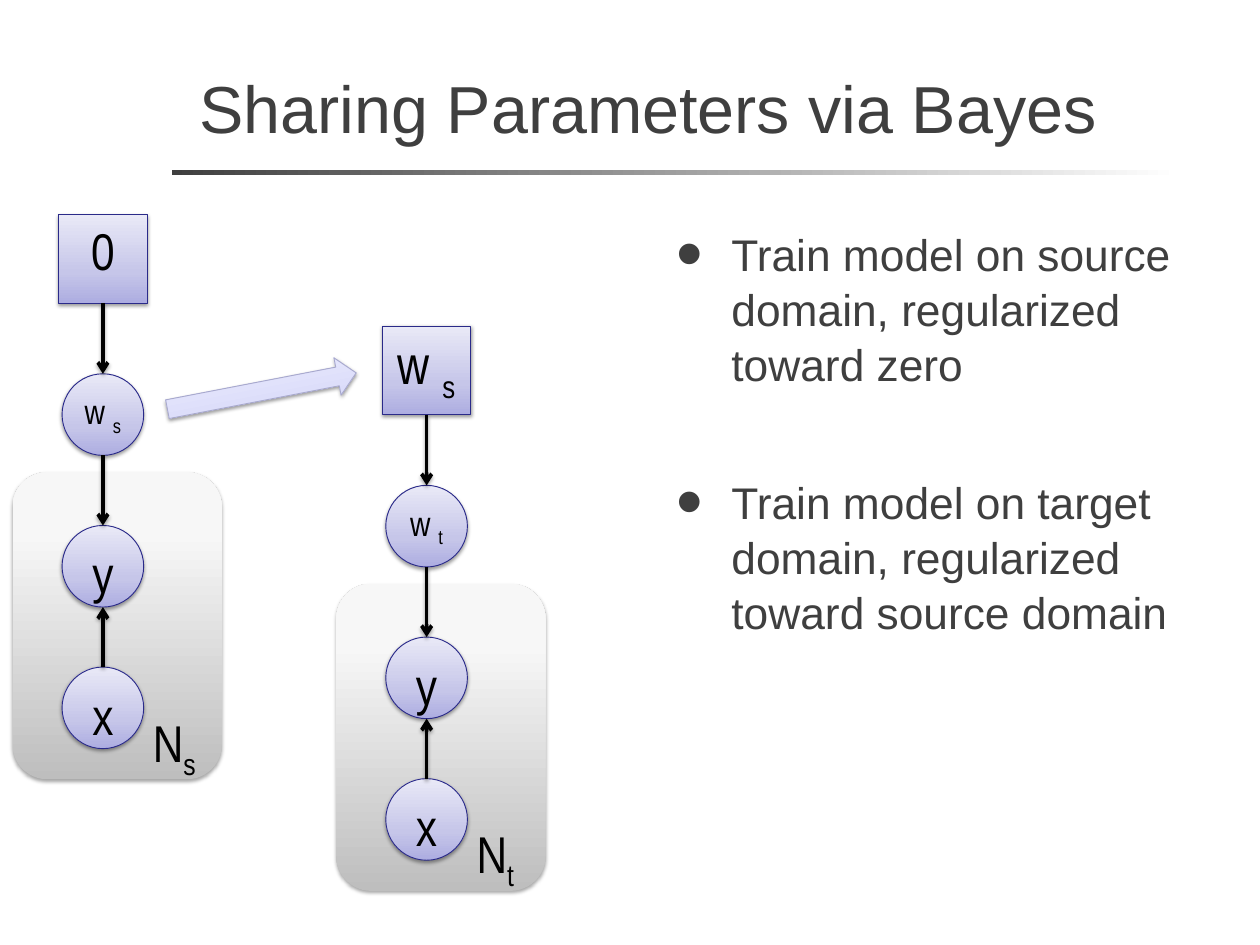
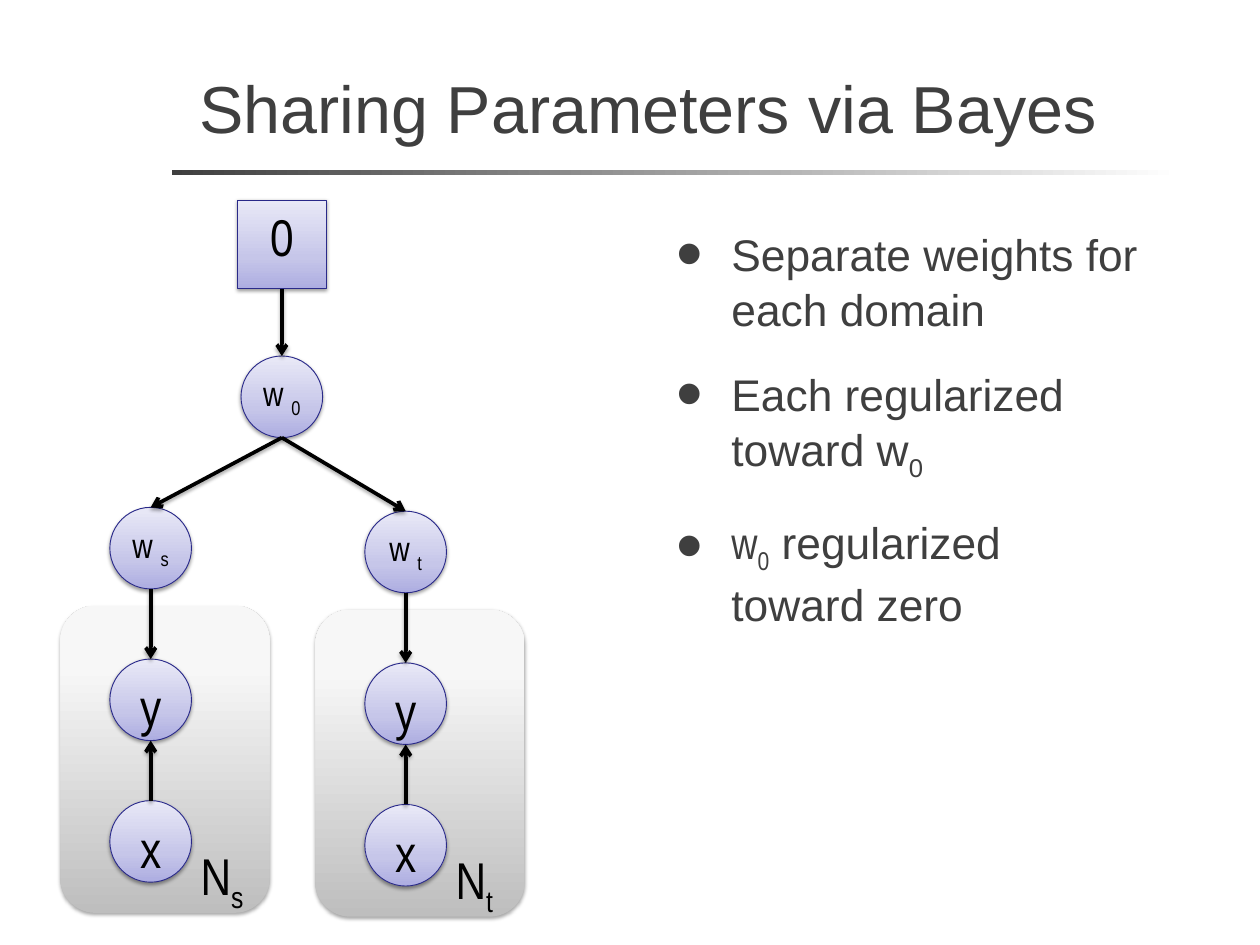
"""Builds two slides on sharing parameters between domains via Bayes."""
from dataclasses import dataclass
from typing import NamedTuple

from lxml import etree
from pptx import Presentation
from pptx import util as u
from pptx.dml.color import RGBColor
from pptx.enum import shapes, text
from pptx.oxml.ns import qn

Cm, Pt = u.Cm, u.Pt
Kind = shapes.MSO_SHAPE
Stops = tuple[tuple[int, str], ...]


class Shadow(NamedTuple):
    alpha: int
    blur: float
    dist: float


@dataclass(frozen=True)
class Theme:
    ink: str = "3F3F3F"
    black: str = "000000"
    node_line: str = "2A2A89"
    arrow_line: str = "A8A9CD"
    node_fill: Stops = ((0, "ADADE1"), (35, "C6C6E9"), (100, "E9E9F7"))
    arrow_fill: Stops = ((0, "CDCEF8"), (35, "DBDCFA"), (100, "F0F0FE"))
    plate_fill: Stops = ((0, "BEBEBE"), (80, "F7F7F7"), (100, "F8F8F8"))
    rule_fill: Stops = ((0, "3F3F3F"), (100, "FFFFFF"))
    node_shadow: Shadow = Shadow(38, 3.1, 1.6)
    soft_shadow: Shadow = Shadow(35, 3.1, 1.8)
    font: str = "Arial"
    narrow: str = "Arial Narrow"
    title: int = 54
    body: int = 36
    symbol: int = 42
    weight: int = 28
    given: int = 44


T = Theme()


class Piece(NamedTuple):
    text: str
    sub: bool = False
    font: str | None = None


class Bullet(NamedTuple):
    pieces: list[Piece]
    before: int = 24


@dataclass(frozen=True)
class Node:
    kind: Kind
    label: str
    sub: str
    cx: float
    top: float
    size: int

    @property
    def side(self) -> float:
        return 2.54 if self.kind == Kind.RECTANGLE else 2.34


@dataclass(frozen=True)
class Domain:
    sub: str
    cx: float
    top: float


def add_xml(parent, tag: str, **attrs):
    return etree.SubElement(parent, qn(tag), {k: str(v) for k, v in attrs.items()})


def add_shadow(sp, shadow: Shadow) -> None:
    spPr = sp._element.spPr
    for old in spPr.findall(qn("a:effectLst")):
        spPr.remove(old)
    outer = add_xml(add_xml(spPr, "a:effectLst"), "a:outerShdw",
                    blurRad=int(Pt(shadow.blur)), dist=int(Pt(shadow.dist)),
                    dir=5400000, rotWithShape=0)
    add_xml(add_xml(outer, "a:srgbClr", val=T.black), "a:alpha", val=shadow.alpha * 1000)


def add_block(s, kind: Kind, box: tuple, stops: Stops, line: str | None = None,
              shadow: Shadow | None = None, angle: int = 90):
    sp = s.shapes.add_shape(kind, *map(Cm, box))
    sp.shadow.inherit = False
    sp.fill.gradient()
    sp.fill.gradient_angle = angle
    gs_list = sp._element.spPr.find(qn("a:gradFill")).find(qn("a:gsLst"))
    for old in list(gs_list):
        gs_list.remove(old)
    for pos, color in stops:
        add_xml(add_xml(gs_list, "a:gs", pos=pos * 1000), "a:srgbClr", val=color)
    if line:
        sp.line.color.rgb = RGBColor.from_string(line)
        sp.line.width = Pt(0.75)
    else:
        sp.line.fill.background()
    if shadow:
        add_shadow(sp, shadow)
    return sp


def set_font(p, name: str, size: int, color: str) -> None:
    p.font.name = name
    p.font.size = Pt(size)
    p.font.color.rgb = RGBColor.from_string(color)


def add_pieces(p, pieces: list[Piece]) -> None:
    for piece in pieces:
        for i, part in enumerate(piece.text.split("\n")):
            if i:
                p.add_line_break()
            r = p.add_run()
            r.text = part
            if piece.font:
                r.font.name = piece.font
            if piece.sub:
                r.font._element.set("baseline", "-25000")


def add_symbol(sp, label: str, sub: str, size: int, align) -> None:
    tf = sp.text_frame
    tf.vertical_anchor = text.MSO_ANCHOR.TOP
    p = tf.paragraphs[0]
    p.alignment = align
    set_font(p, T.narrow, size, T.black)
    add_pieces(p, [Piece(label)] + ([Piece(sub, True)] if sub else []))


def add_node(s, node: Node):
    box = (node.cx - node.side / 2, node.top, node.side, node.side)
    sp = add_block(s, node.kind, box, T.node_fill, T.node_line, T.node_shadow)
    add_symbol(sp, node.label, node.sub, node.size, text.PP_ALIGN.CENTER)
    return sp


def link(s, a, b) -> None:
    down = a.top < b.top
    begin_y = a.top + a.height if down else a.top
    end_y = b.top if down else b.top + b.height
    cx = s.shapes.add_connector(shapes.MSO_CONNECTOR.STRAIGHT, a.left + a.width // 2,
                                begin_y, b.left + b.width // 2, end_y)
    if not down:
        cx.begin_connect(a, 0)
    elif a.auto_shape_type == Kind.RECTANGLE:
        cx.begin_connect(a, 2)
    if down:
        cx.end_connect(b, 0)
    cx.line.color.rgb = RGBColor.from_string(T.black)
    cx.line.width = Pt(3)
    add_xml(cx.line._get_or_add_ln(), "a:tailEnd", type="arrow")
    add_shadow(cx, T.soft_shadow)


def add_domain(s, d: Domain):
    plate = add_block(s, Kind.ROUNDED_RECTANGLE, (d.cx - 2.59, d.top + 2.82, 6, 8.81),
                      T.plate_fill, shadow=T.soft_shadow)
    tf = plate.text_frame
    tf.margin_left, tf.margin_top = Cm(3.73), Cm(6.55)
    tf.margin_right = tf.margin_bottom = 0
    add_symbol(plate, "N", d.sub, T.symbol, text.PP_ALIGN.LEFT)
    w, y, x = (add_node(s, Node(Kind.OVAL, label, sub, d.cx, d.top + dy, size))
               for label, sub, dy, size in (("w ", d.sub, 0, T.weight),
                                            ("y", "", 4.35, T.symbol),
                                            ("x", "", 8.41, T.symbol)))
    link(s, w, y)
    link(s, x, y)
    return w


def add_text_box(s, box: tuple):
    tf = s.shapes.add_textbox(*map(Cm, box)).text_frame
    tf.word_wrap = True
    return tf


def add_bullets(s, bullets: list[Bullet]) -> None:
    tf = add_text_box(s, (18.26, 6.32, 16.05, 17.88))
    for i, bullet in enumerate(bullets):
        p = tf.add_paragraph() if i else tf.paragraphs[0]
        pPr = p._p.get_or_add_pPr()
        pPr.set("marL", str(int(Cm(2.46))))
        pPr.set("indent", str(int(Cm(-1.57))))
        add_xml(add_xml(pPr, "a:buClr"), "a:srgbClr", val=T.ink)
        add_xml(pPr, "a:buSzPct", val=171000)
        add_xml(pPr, "a:buFont", typeface=T.font)
        add_xml(pPr, "a:buChar", char="•")
        p.line_spacing = 1.04
        if i:
            p.space_before = Pt(bullet.before)
        set_font(p, T.font, T.body, T.ink)
        add_pieces(p, bullet.pieces)


def add_base(prs, title: str):
    s = prs.slides.add_slide(prs.slide_layouts[6])
    add_block(s, Kind.RECTANGLE, (4.93, 4.88, 28.88, 0.13), T.rule_fill, angle=0)
    tf = add_text_box(s, (5.36, 1.27, 28.37, 3.61))
    tf.vertical_anchor = text.MSO_ANCHOR.MIDDLE
    tf.margin_left = tf.margin_right = Cm(0.36)
    tf.margin_top = tf.margin_bottom = Cm(0.18)
    p = tf.paragraphs[0]
    set_font(p, T.font, T.title, T.ink)
    add_pieces(p, [Piece(title)])
    return s


def add_transfer_slide(prs, title: str) -> None:
    s = add_base(prs, title)
    source, target = Domain("s", 2.95, 10.72), Domain("t", 12.23, 13.92)
    for d, label, sub, size in ((source, "0", "", T.symbol), (target, "w ", "s", T.given)):
        w = add_domain(s, d)
        prior = add_node(s, Node(Kind.RECTANGLE, label, sub, d.cx, d.top - 4.57, size))
        link(s, prior, w)
    arrow = add_block(s, Kind.RIGHT_ARROW, (4.75, 10.67, 5.51, 1.09), T.arrow_fill,
                      T.arrow_line, T.node_shadow)
    arrow.rotation = 349.1
    add_bullets(s, [
        Bullet([Piece("Train model on source domain, regularized toward zero")]),
        Bullet([Piece("Train model on target domain, regularized toward source domain")], 67),
    ])


def add_shared_slide(prs, title: str) -> None:
    s = add_base(prs, title)
    weights = [add_domain(s, d) for d in (Domain("s", 4.32, 14.55), Domain("t", 11.63, 14.66))]
    shared = add_node(s, Node(Kind.OVAL, "w ", "0", 8.08, 10.21, T.weight))
    prior = add_node(s, Node(Kind.RECTANGLE, "0", "", 8.08, 5.74, T.symbol))
    link(s, prior, shared)
    for w in weights:
        link(s, shared, w)
    add_bullets(s, [
        Bullet([Piece("Separate weights for each domain")]),
        Bullet([Piece("Each regularized toward w"), Piece("0", True)]),
        Bullet([Piece("w", font=T.narrow), Piece("0", True, T.narrow),
                Piece(" regularized\ntoward zero")]),
    ])


def main() -> None:
    prs = Presentation()
    prs.slide_width, prs.slide_height = Cm(36.12), Cm(27.1)
    title = "Sharing Parameters via Bayes"
    add_transfer_slide(prs, title)
    add_shared_slide(prs, title)
    prs.save("out.pptx")


if __name__ == "__main__":
    main()
